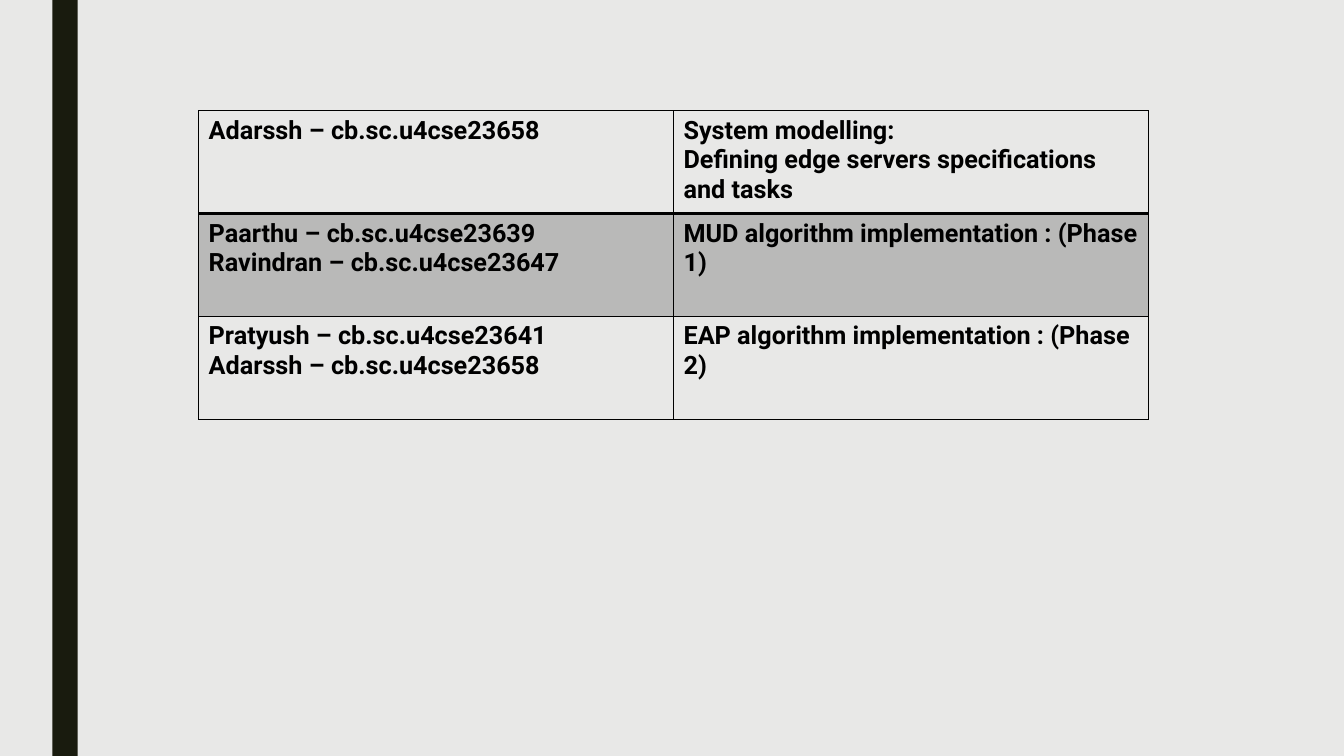
from lxml.etree import SubElement
from pptx import Presentation
from pptx.dml.color import RGBColor as Rgb
from pptx.enum.shapes import MSO_SHAPE as Shape
from pptx.oxml import parse_xml
from pptx.oxml.ns import nsdecls, qn
from pptx.util import Inches, Pt

COLORS = {"page": "E8E8E7", "stripe": "191B0E", "ink": "000000"}
FONT = {"name": "Roboto", "size": Pt(18), "bold": True}
PLAIN_TABLE = {"first_row": False, "horz_banding": False}
TASKS = [
    ("Adarssh – cb.sc.u4cse23658",
     "System modelling:\nDefining edge servers specifications and tasks"),
    ("Paarthu – cb.sc.u4cse23639\nRavindran – cb.sc.u4cse23647",
     "MUD algorithm implementation : (Phase 1)"),
    ("Pratyush – cb.sc.u4cse23641\nAdarssh – cb.sc.u4cse23658",
     "EAP algorithm implementation : (Phase 2)"),
]
SHADED_ROW = 1


def apply(target, values):
    for name, value in values.items():
        setattr(target, name, value)


class PageBuilder:
    def __init__(self, deck):
        self.page = deck.slides.add_slide(deck.slide_layouts[6])
        self.paint(self.page.background.fill, "page")

    def paint(self, fill, color):
        fill.solid()
        fill.fore_color.rgb = Rgb.from_string(COLORS[color])

    def stripe(self, left, top, width, height):
        box = self.page.shapes.add_shape(
            Shape.RECTANGLE, *map(Inches, (left, top, width, height)))
        box.shadow.inherit = False
        self.paint(box.fill, "stripe")
        box.line.fill.background()

    def borders(self, cell, widths):
        properties = cell._tc.get_or_add_tcPr()
        for index, (side, width) in enumerate(widths.items()):
            properties.insert(index, parse_xml(
                f'<a:ln{side} {nsdecls("a")} w="{Pt(width)}"><a:solidFill>'
                f'<a:srgbClr val="{COLORS["ink"]}"/></a:solidFill></a:ln{side}>'))

    def shade(self, cell, percent):
        self.paint(cell.fill, "ink")
        color = cell._tc.tcPr.find(qn("a:solidFill")).find(qn("a:srgbClr"))
        SubElement(color, qn("a:alpha"), val=str(percent * 1000))

    def cell_text(self, cell, text):
        cell.text = text
        for para in cell.text_frame.paragraphs:
            for span in para.runs:
                apply(span.font, FONT)
                span.font.color.rgb = Rgb.from_string(COLORS["ink"])

    def table(self, rows, left, top, column_width, row_height):
        columns = len(rows[0])
        table = self.page.shapes.add_table(
            len(rows), columns, Inches(left), Inches(top),
            Inches(column_width * columns), Inches(row_height * len(rows))).table
        apply(table, PLAIN_TABLE)
        for r, texts in enumerate(rows):
            table.rows[r].height = Inches(row_height)
            for c, text in enumerate(texts):
                cell = table.cell(r, c)
                self.cell_text(cell, text)
                if r == SHADED_ROW:
                    self.shade(cell, 20)
                else:
                    cell.fill.background()
                self.borders(cell, {"L": 1, "R": 1, "T": 2 if r == 1 else 1,
                                    "B": 2 if r == 0 else 1})


def main():
    deck = Presentation()
    apply(deck, {"slide_width": Inches(13.33), "slide_height": Inches(7.5)})
    builder = PageBuilder(deck)
    builder.stripe(0.52, 0, 0.25, 7.5)
    builder.table(TASKS, 1.97, 1.1, 4.71, 1.02)
    deck.save("out.pptx")


if __name__ == "__main__":
    main()
